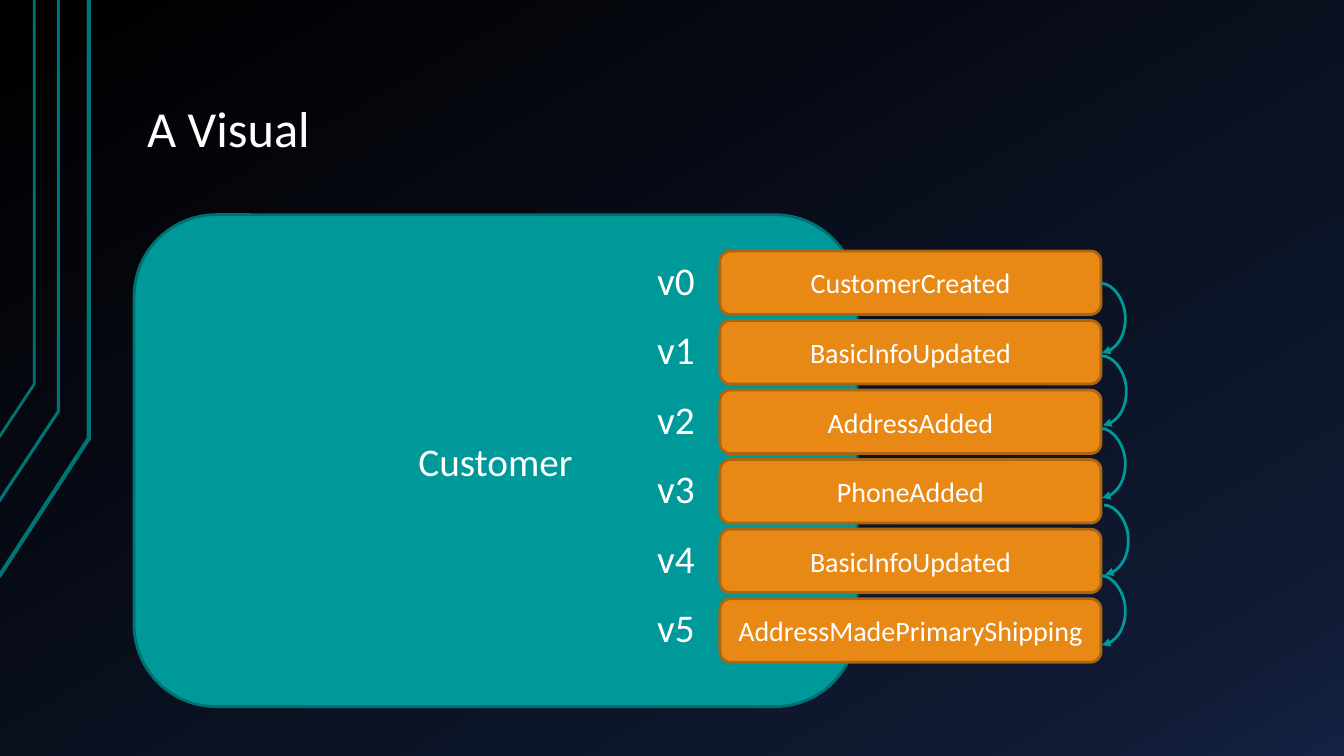
import copy
import pptx
import pptx.util
import pptx.dml.color
import pptx.enum.shapes
import pptx.enum.text
import pptx.oxml

Inches = pptx.util.Inches
Pt = pptx.util.Pt
KINDS = pptx.enum.shapes.MSO_SHAPE
ALIGN = pptx.enum.text.PP_ALIGN
ANCHOR = pptx.enum.text.MSO_ANCHOR
SIZING = pptx.enum.text.MSO_AUTO_SIZE
COLORS = {
    "white": "FFFFFF",
    "teal": "009999",
    "rim": "007171",
    "rail": "007373",
    "orange": "E98915",
    "rust": "AC6510",
}
SHADES = [(0, "000000"), (0.85, "0F1931"), (1, "142242")]
RAILS = [
    (3, [(-0.01, 5.72), (0.88, 4.35), (0.88, 0)]),
    (2.25, [(-0.02, 4.99), (0.58, 4.08), (0.58, 0)]),
    (2, [(-0.01, 4.34), (0.34, 3.81), (0.34, 0)]),
]
EVENTS = [
    "CustomerCreated",
    "BasicInfoUpdated",
    "AddressAdded",
    "PhoneAdded",
    "BasicInfoUpdated",
    "AddressMadePrimaryShipping",
]
ARCS = [(10.92, 2.81), (10.93, 3.53), (10.92, 4.25), (10.95, 5.01), (10.92, 5.71)]
TOP = 2.49
PITCH = 0.69


def tint(name):
    return pptx.dml.color.RGBColor.from_string(COLORS[name])


def stroke(line, name, width):
    line.color.rgb = tint(name)
    line.width = Pt(width)


def write(frame, text, size, align):
    para = frame.paragraphs[0]
    para.alignment = align
    run = para.add_run()
    run.text = text
    run.font.size = Pt(size)
    run.font.name = "Calibri"
    run.font.color.rgb = tint("white")
    return para


def paint(slide):
    fill = slide.background.fill
    fill.gradient()
    fill.gradient_angle = 300
    stops = slide.element.xpath(".//a:gsLst")[0]
    stops.append(copy.deepcopy(stops[-1]))
    for stop, (place, shade) in zip(fill.gradient_stops, SHADES):
        stop.position = place
        stop.color.rgb = pptx.dml.color.RGBColor.from_string(shade)


def rail(slide, width, points):
    spots = [(Inches(x), Inches(y)) for x, y in points]
    path = slide.shapes.build_freeform(*spots[0])
    path.add_line_segments(spots[1:], close=False)
    shape = path.convert_to_shape()
    shape.shadow.inherit = False
    shape.fill.background()
    stroke(shape.line, "rail", width)


def head(slide, text):
    title = slide.shapes.title
    title.left, title.top = Inches(1.33), Inches(0.3)
    title.width, title.height = Inches(11.33), Inches(1.34)
    frame = title.text_frame
    frame.auto_size = SIZING.NONE
    frame.vertical_anchor = ANCHOR.BOTTOM
    frame.margin_left = frame.margin_right = Inches(0.13)
    frame.margin_top = frame.margin_bottom = Inches(0.07)
    write(frame, text, 36, ALIGN.LEFT).line_spacing = 0.9


def box(slide, bounds, text, size, fill, edge):
    shape = slide.shapes.add_shape(KINDS.ROUNDED_RECTANGLE, *map(Inches, bounds))
    shape.shadow.inherit = False
    shape.fill.solid()
    shape.fill.fore_color.rgb = tint(fill)
    stroke(shape.line, edge, 2)
    shape.text_frame.word_wrap = True
    shape.text_frame.vertical_anchor = ANCHOR.MIDDLE
    write(shape.text_frame, text, size, ALIGN.CENTER)


def label(slide, top, text):
    area = map(Inches, (6.42, top, 0.58, 0.57))
    frame = slide.shapes.add_textbox(*area).text_frame
    frame.word_wrap = False
    frame.auto_size = SIZING.SHAPE_TO_FIT_TEXT
    write(frame, text, 28, ALIGN.LEFT)


def arc(slide, x, y):
    ends = map(Inches, (x, y, x + 0.01, y + PITCH))
    curve = slide.shapes.add_connector(pptx.enum.shapes.MSO_CONNECTOR.CURVE, *ends)
    stroke(curve.line, "teal", 2)
    space = pptx.oxml.ns.nsdecls("a")
    parse = pptx.oxml.parse_xml
    props = curve.element.spPr
    guides = parse(
        f'<a:avLst {space}><a:gd name="adj1" fmla="val 2450000"/></a:avLst>'
    )
    shape = props.xpath("a:prstGeom")[0]
    for old in list(shape):
        shape.remove(old)
    shape.append(guides)
    props.xpath("a:ln")[0].append(parse(f'<a:tailEnd {space} type="triangle"/>'))
    props.append(parse(f"<a:effectLst {space}/>"))


def main():
    deck = pptx.Presentation()
    deck.slide_width, deck.slide_height = Inches(13.33), Inches(7.5)
    slide = deck.slides.add_slide(deck.slide_layouts[5])
    paint(slide)
    for width, points in RAILS:
        rail(slide, width, points)
    head(slide, "A Visual")
    box(slide, (1.33, 2.13, 7.17, 4.88), "Customer", 28, "teal", "rim")
    for step, event in enumerate(EVENTS):
        top = TOP + step * PITCH
        box(slide, (7.14, top, 3.78, 0.63), event, 20, "orange", "rust")
        label(slide, top, f"v{step}")
    for x, y in ARCS:
        arc(slide, x, y)
    deck.save("out.pptx")


if __name__ == "__main__":
    main()
